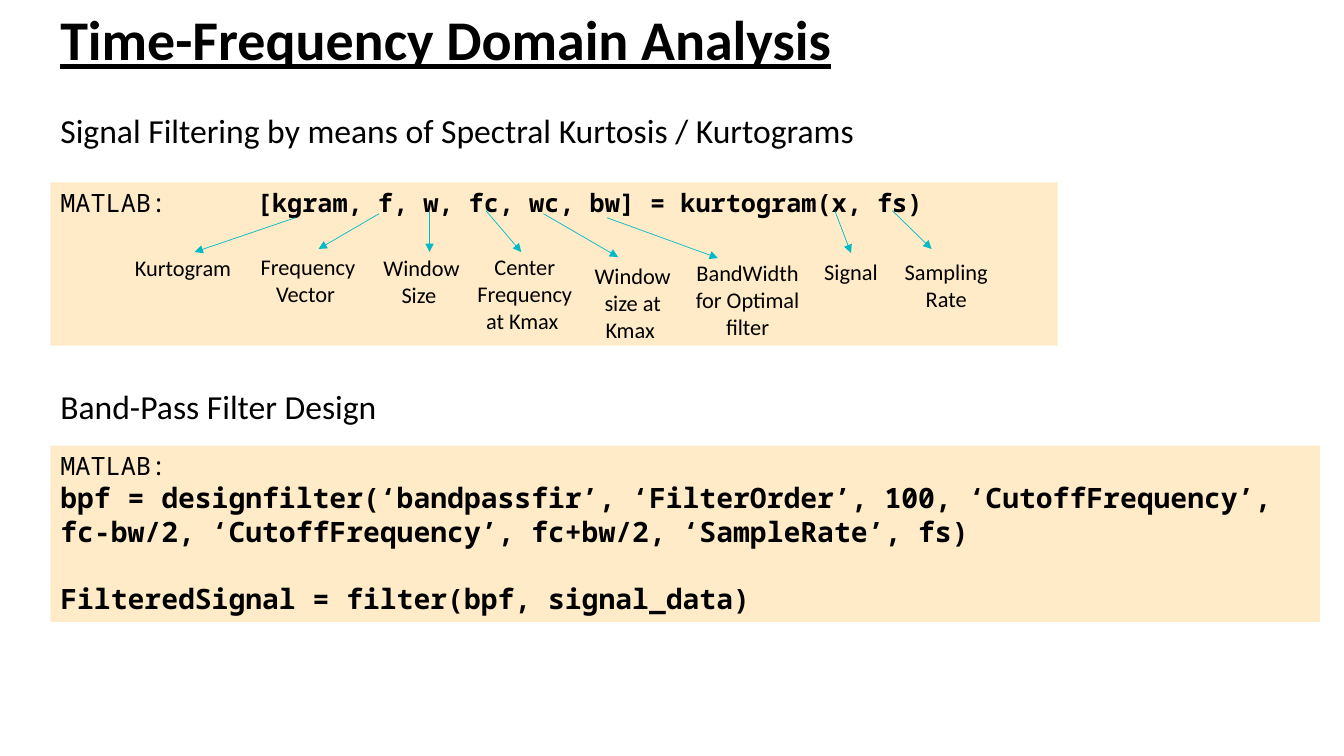
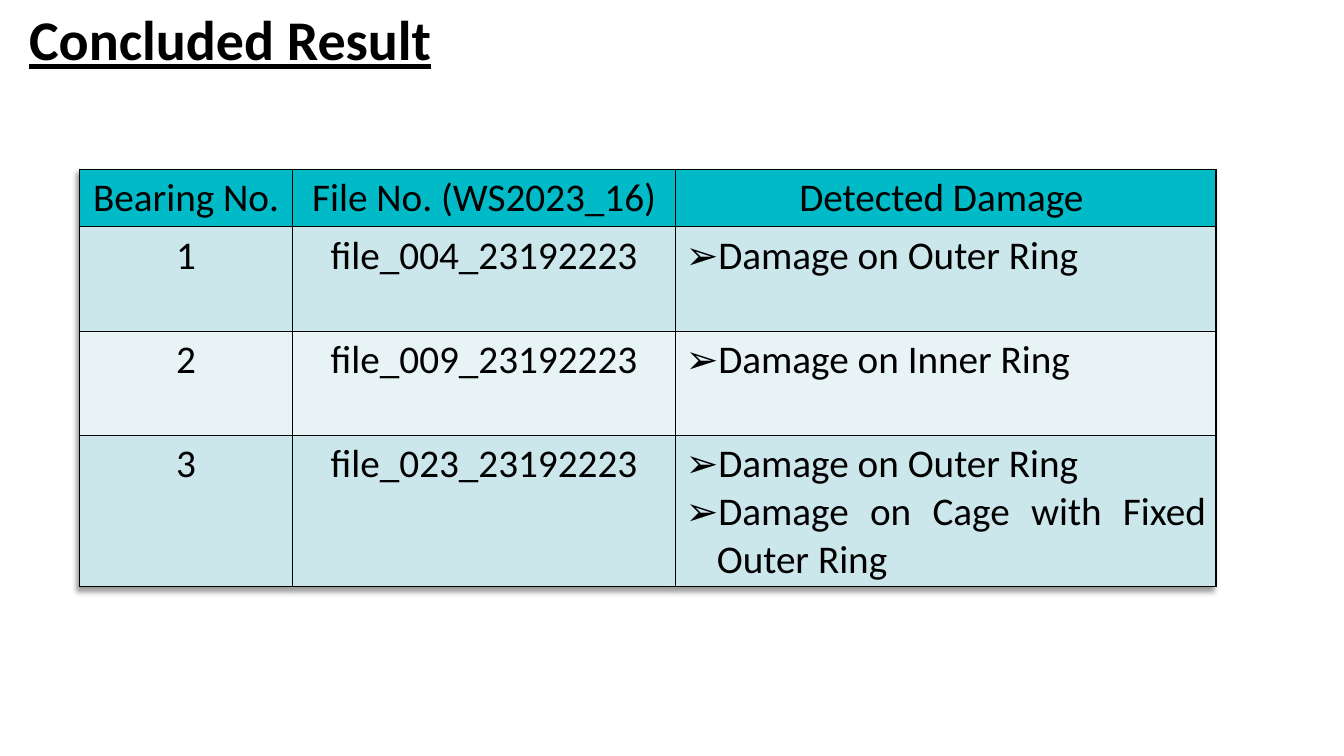
from dataclasses import dataclass

from lxml.etree import SubElement
from pptx import Presentation
from pptx.dml.color import RGBColor
from pptx.enum.shapes import MSO_CONNECTOR, MSO_SHAPE
from pptx.enum.text import MSO_ANCHOR, PP_ALIGN
from pptx.oxml import parse_xml
from pptx.oxml.ns import nsdecls, qn
from pptx.util import Inches, Pt


@dataclass(frozen=True)
class Theme:
    body_font: str = "Calibri"
    code_font: str = "Noto Sans Mono"
    ink: str = "000000"
    accent: str = "00BAC8"
    code_fill: str = "FFEBC7"
    bands: tuple = ("CCE7EB", "E7F3F5")
    title: int = 40
    heading: int = 24
    label: int = 16
    table: int = 28
    code: int = 18
    large_code: int = 20
    large_code_line: int = 24
    arrow_width: float = 0.5
    border_width: int = 1


def inches(*lengths):
    return [Inches(length) for length in lengths]


def color(value):
    return RGBColor.from_string(value)


class SlideBuilder:
    def __init__(self, theme):
        self.theme = theme
        self.deck = Presentation()
        self.deck.slide_width, self.deck.slide_height = inches(13.33, 7.5)
        self.page = None

    def new_page(self):
        self.page = self.deck.slides.add_slide(self.deck.slide_layouts[6])

    def style(self, font, size, name=None, bold=False):
        font.name = name or self.theme.body_font
        font.size = Pt(size)
        font.bold = bold
        font.color.rgb = color(self.theme.ink)

    def text(self, at, words, size, align=PP_ALIGN.LEFT, bold=False):
        box = self.page.shapes.add_textbox(*inches(*at))
        box.text_frame.word_wrap = True
        para = box.text_frame.paragraphs[0]
        para.text = words
        para.alignment = align
        self.style(para.font, size, bold=bold)
        return box

    def title(self, left, width, words):
        box = self.text((left, 0, width, 0.77), words, self.theme.title, bold=True)
        box.text_frame.paragraphs[0].font.underline = True

    def heading(self, top, words):
        self.text((0.5, top, 11.39, 0.5), words, self.theme.heading)

    def code_panel(self, top, width, height):
        """Add a panel opened by the language name; return its text frame."""
        panel = self.page.shapes.add_shape(
            MSO_SHAPE.RECTANGLE, *inches(0.5, top, width, height))
        panel.shadow.inherit = False
        panel.fill.solid()
        panel.fill.fore_color.rgb = color(self.theme.code_fill)
        panel.line.fill.background()
        frame = panel.text_frame
        frame.word_wrap = True
        frame.vertical_anchor = MSO_ANCHOR.TOP
        para = frame.paragraphs[0]
        para.alignment = PP_ALIGN.LEFT
        self.code_span(para, "MATLAB:")
        return frame

    def code_span(self, para, words, bold=False):
        span = para.add_run()
        span.text = words
        self.style(span.font, self.theme.code, self.theme.code_font, bold)

    def tabbed_code(self, frame, words, tab):
        """Continue the panel's first line at a tab stop."""
        para = frame.paragraphs[0]
        tabs = SubElement(para._p.get_or_add_pPr(), qn("a:tabLst"))
        SubElement(tabs, qn("a:tab"), pos=str(Inches(tab)), algn="l")
        self.code_span(para, "\t" + words, bold=True)

    def code_line(self, frame, words, space_before=0):
        para = frame.add_paragraph()
        para.text = words
        para.alignment = PP_ALIGN.LEFT
        para.space_before = Pt(space_before)
        self.style(para.font, self.theme.large_code, self.theme.code_font, True)

    def arrow(self, start, end):
        arrow = self.page.shapes.add_connector(
            MSO_CONNECTOR.STRAIGHT, *inches(*start, *end))
        arrow.line.color.rgb = color(self.theme.accent)
        arrow.line.width = Pt(self.theme.arrow_width)
        SubElement(arrow.line._get_or_add_ln(), qn("a:tailEnd"), type="triangle")
        SubElement(arrow._element.spPr, qn("a:effectLst"))
        return arrow

    def callout(self, words, at, start, tip=None, align=PP_ALIGN.CENTER):
        """Add a label and its arrow, joined to the label's top if no tip is given."""
        label = self.text(at, words, self.theme.label, align)
        arrow = self.arrow(start, tip or at[:2])
        if tip is None:
            arrow.end_connect(label, 0)

    def table(self, at, widths, heights, rows):
        frame = self.page.shapes.add_table(len(rows), len(widths), *inches(*at))
        table = frame.table
        table.horz_banding = False
        table._tbl.tblPr.insert(0, parse_xml(
            f'<a:effectLst {nsdecls("a")}><a:outerShdw blurRad="50800" dist="38100" '
            'dir="7200000" algn="tr" rotWithShape="0"><a:srgbClr val="000000">'
            '<a:alpha val="40000"/></a:srgbClr></a:outerShdw></a:effectLst>'))
        for column, width in zip(table.columns, widths):
            column.width = Inches(width)
        for row, height in zip(table.rows, heights):
            row.height = Inches(height)
        for row_index, row in enumerate(rows):
            fill = self.theme.bands[(row_index - 1) % 2] if row_index else self.theme.accent
            for column_index, content in enumerate(row):
                self.cell(table.cell(row_index, column_index), content, fill)

    def cell(self, cell, content, fill):
        """Fill one cell; a list becomes justified bullets."""
        bulleted = isinstance(content, list)
        cell.text = "\n".join(content) if bulleted else content
        for para in cell.text_frame.paragraphs:
            para.alignment = PP_ALIGN.JUSTIFY if bulleted else PP_ALIGN.CENTER
            if bulleted:
                self.bullet(para)
            self.style(para.font, self.theme.table)
        properties = cell._tc.get_or_add_tcPr()
        for side in ("lnL", "lnR", "lnT", "lnB"):
            line = SubElement(properties, qn(f"a:{side}"),
                              w=str(Pt(self.theme.border_width)))
            solid = SubElement(line, qn("a:solidFill"))
            SubElement(solid, qn("a:srgbClr"), val=self.theme.ink)
        cell.fill.solid()
        cell.fill.fore_color.rgb = color(fill)

    def bullet(self, para):
        indent = Inches(0.31)
        properties = para._p.get_or_add_pPr()
        properties.set("marL", str(indent))
        properties.set("indent", str(-indent))
        SubElement(properties, qn("a:buFont"), typeface=self.theme.body_font)
        SubElement(properties, qn("a:buChar"), char="➢")


def analysis_page(builder):
    builder.new_page()
    builder.title(0.5, 10.9, "Time-Frequency Domain Analysis")
    builder.heading(1.04, "Signal Filtering by means of Spectral Kurtosis / Kurtograms")
    panel = builder.code_panel(1.81, 9.99, 1.62)
    builder.tabbed_code(panel, "[kgram, f, w, fc, wc, bw] = kurtogram(x, fs)", 1.95)

    builder.callout("Kurtogram", (1.24, 2.47, 1.23, 0.37), (2.93, 2.16), (1.93, 2.5),
                    align=PP_ALIGN.LEFT)
    for callout in (
        ("Frequency Vector ", (2.47, 2.46, 1.17, 0.64), (3.76, 2.12), (3.16, 2.47)),
        ("Window Size ", (3.62, 2.47, 1.12, 0.64), (4.26, 2.1), (4.26, 2.5)),
        ("Center Frequency at Kmax ", (4.6, 2.46, 1.21, 0.91), (4.82, 2.09), (5.17, 2.5)),
        ("Window size at Kmax ", (5.67, 2.55, 1.21, 0.91), (5.39, 2.12), (6.13, 2.55)),
        ("BandWidth for Optimal filter", (6.78, 2.52, 1.27, 0.91), (6.02, 2.16), (7.12, 2.56)),
        ("Signal", (8.03, 2.51, 0.82, 0.37), (8.28, 2.09)),
        ("Sampling Rate", (8.78, 2.51, 1.21, 0.64), (8.85, 2.09), (9.24, 2.47)),
    ):
        builder.callout(*callout)

    builder.heading(3.78, "Band-Pass Filter Design")
    panel = builder.code_panel(4.42, 12.59, 1.75)
    builder.code_line(panel, "bpf = designfilter(‘bandpassfir’, ‘FilterOrder’, 100, "
                      "‘CutoffFrequency’, fc-bw/2, ‘CutoffFrequency’, fc+bw/2, "
                      "‘SampleRate’, fs)")
    builder.code_line(panel, "FilteredSignal = filter(bpf, signal_data)",
                      builder.theme.large_code_line)


def result_page(builder):
    builder.new_page()
    builder.title(0.19, 5.23, "Concluded Result")
    builder.table((0.79, 1.68, 11.27, 4.13), (2.11, 3.8, 5.36), (0.57, 1.04, 1.03, 1.49), (
        ("Bearing No. ", "File No. (WS2023_16)", "Detected Damage "),
        ("1", "file_004_23192223", ["Damage on Outer Ring"]),
        ("2", "file_009_23192223", ["Damage on Inner Ring"]),
        ("3", "file_023_23192223",
         ["Damage on Outer Ring", "Damage on Cage with Fixed Outer Ring"]),
    ))


def main():
    builder = SlideBuilder(Theme())
    analysis_page(builder)
    result_page(builder)
    builder.deck.save("out.pptx")


if __name__ == "__main__":
    main()
